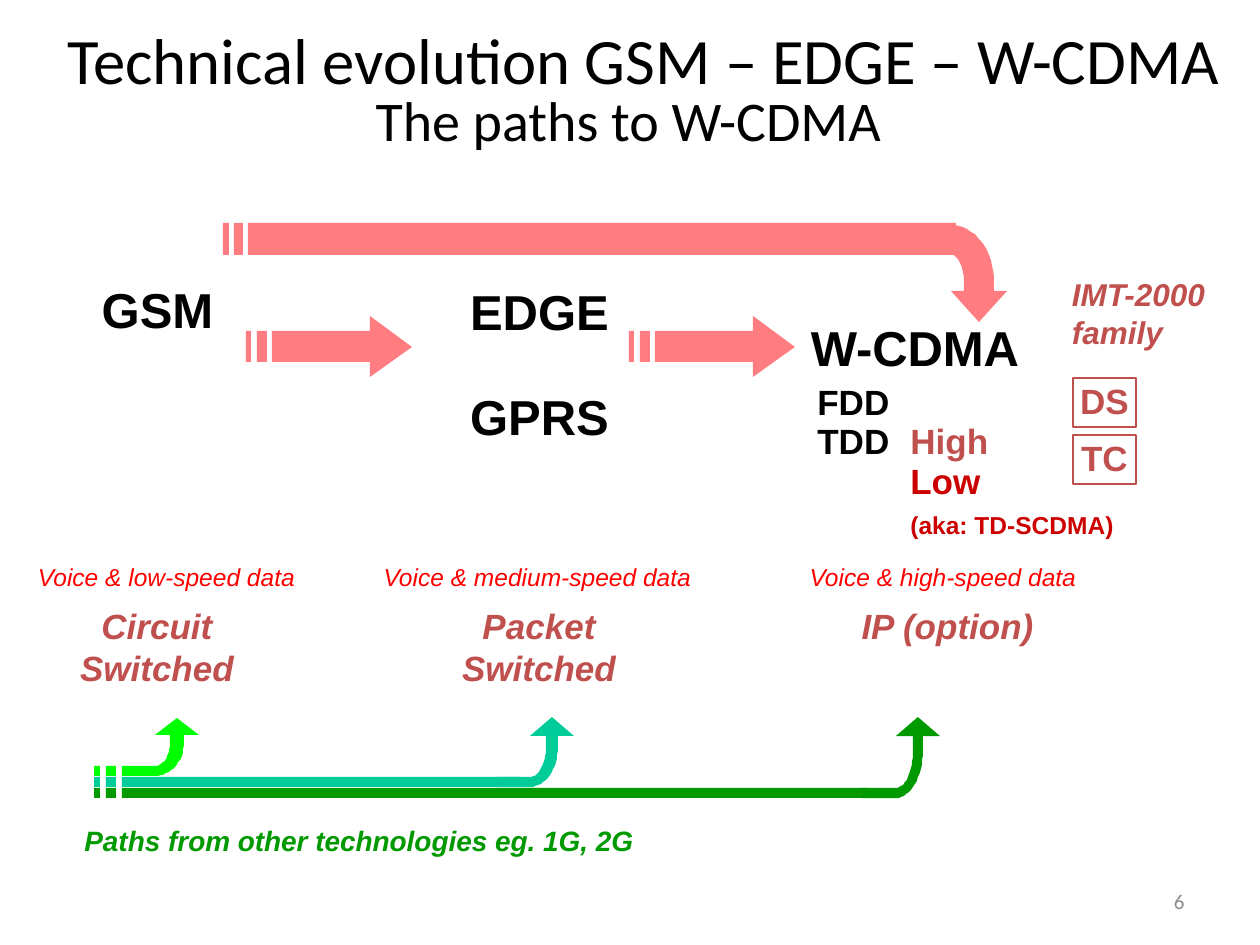
"""Build the slide on the evolution paths from GSM to W-CDMA."""
from math import cos, pi, sin

from lxml.etree import SubElement
from pptx import Presentation
from pptx.dml.color import RGBColor
from pptx.enum.shapes import MSO_SHAPE as Shape
from pptx.enum.text import MSO_ANCHOR as Anchor, PP_ALIGN as Align
from pptx.oxml.ns import qn
from pptx.util import Emu, Pt

PX = 914400 // 126
COLORS = {
    "black": "000000", "gray": "8C8C8C", "pink": "FF7C80", "brick": "C0504D",
    "red": "FF0000", "crimson": "CC0000", "lime": "00FF00", "teal": "00CC99",
    "green": "009900",
}
STYLES = {
    "title": ("Calibri", 37, "black", False, False),
    "subtitle": ("Calibri", 32, "black", False, False),
    "number": ("Calibri", 12, "gray", False, False),
    "system": ("Arial", 28, "black", True, False),
    "mode": ("Arial", 20, "black", True, False),
    "badge": ("Arial", 20, "brick", True, False),
    "switching": ("Arial", 20, "brick", True, True),
    "speed": ("Arial", 14, "red", False, True),
    "family": ("Arial", 18, "brick", True, True),
    "paths": ("Arial", 16, "green", True, True),
}
CENTERED = [
    ("Technical evolution GSM – EDGE – W-CDMA", "title", (-57, 14, 1401, 158)),
    ("The paths to W-CDMA", "subtitle", (93, 79, 1071, 158)),
    ("GSM", "system", (63, 273, 189, 72)),
    ("EDGE", "system", (445, 275, 189, 72)),
    ("GPRS", "system", (445, 380, 189, 72)),
    ("W-CDMA", "system", (789, 311, 252, 72)),
    ("Voice & low-speed data", "speed", (24, 556, 285, 42)),
    ("Voice & medium-speed data", "speed", (367, 556, 341, 42)),
    ("Voice & high-speed data", "speed", (785, 556, 316, 42)),
    ("Circuit Switched", "switching", (37, 598, 240, 97)),
    ("Packet Switched", "switching", (391, 598, 296, 97)),
    ("IP (option)", "switching", (838, 598, 219, 54)),
]
MODES = [
    [("FDD", "black", 20)],
    [("TDD\t", "black", 20), ("High", "brick", 20)],
    [("\t", "black", 20), ("Low", "crimson", 20)],
    [("\t", "crimson", 20), ("(aka: TD-SCDMA)", "crimson", 14)],
]
BADGES = ["DS", "TC"]
STRIPED_ARROW_LEFTS = [246, 629]
BARS = [
    ("pink", 223, 32, [(223, 6), (234, 9), (248, 708)]),
    ("lime", 766, 10, [(94, 6), (106, 10)]),
    ("teal", 777, 10, [(94, 6), (106, 10), (122, 398)]),
    ("green", 788, 10, [(94, 6), (106, 10), (122, 746)]),
]
BENT_ARROWS = [
    dict(color="pink", start=911, bend=(951, 281), outer=225, inner=255,
         tip=(979, 322), base=291, head=28, shaft=15),
    dict(color="lime", start=122, bend=(155, 743), outer=776, inner=766,
         tip=(177, 718), base=735, head=22, shaft=7),
    dict(color="teal", start=497, bend=(530, 747), outer=787, inner=777,
         tip=(552, 717), base=736, head=22, shaft=6),
    dict(color="green", start=862, bend=(896, 751), outer=798, inner=788,
         tip=(918, 717), base=736, head=22, shaft=5),
]

deck = Presentation()
deck.slide_width, deck.slide_height = Emu(1260 * PX), Emu(945 * PX)
page = deck.slides.add_slide(deck.slide_layouts[6])


def rgb(color):
    return RGBColor.from_string(COLORS[color])


def scaled(lengths):
    return [Emu(length * PX) for length in lengths]


def style_font(font, style):
    font.name, size, color, font.bold, font.italic = STYLES[style]
    font.size = Pt(size)
    font.color.rgb = rgb(color)


def write(box, text, style, align, inset=None):
    frame = box.text_frame
    frame.word_wrap = True
    frame.vertical_anchor = Anchor.TOP
    if inset is not None:
        frame.margin_left = frame.margin_right = Emu(inset * PX)
        frame.margin_top = frame.margin_bottom = Emu(inset * PX)
    para = frame.paragraphs[0]
    para.text = text
    para.alignment = align
    style_font(para.font, style)
    return frame


def add_text(text, style, place, align=Align.LEFT, inset=None):
    return write(page.shapes.add_textbox(*scaled(place)), text, style, align, inset)


def paint(shape, color):
    shape.shadow.inherit = False
    shape.fill.solid()
    shape.fill.fore_color.rgb = rgb(color)
    shape.line.fill.background()


def add_outline(contours, color):
    builder = None
    for first, *rest in contours:
        if builder is None:
            builder = page.shapes.build_freeform(*first, scale=PX)
        else:
            builder.move_to(*first)
        builder.add_line_segments(rest, close=True)
    paint(builder.convert_to_shape(), color)


def quarter(center, radius_x, radius_y, steps=16):
    angles = [pi / 2 * step / steps for step in range(steps + 1)]
    return [(center[0] + radius_x * cos(a), center[1] + radius_y * sin(a)) for a in angles]


def add_bent_arrow(color, start, bend, outer, inner, tip, base, head, shaft):
    x, y = tip
    outside = quarter(bend, x + shaft - bend[0], outer - bend[1])
    inside = quarter(bend, x - shaft - bend[0], inner - bend[1])[::-1]
    add_outline([[tip, (x + head, base), (x + shaft, base), *outside,
                  (start, outer), (start, inner), *inside,
                  (x - shaft, base), (x - head, base)]], color)


def add_striped_arrow(left):
    top, bottom = 331, 362
    stripes = [[(left + a, top), (left + a, bottom), (left + b, bottom), (left + b, top)]
               for a, b in [(11, 21), (0, 5)]]
    neck, tail = left + 124, left + 26
    arrow = [(neck, 316), (neck, top), (tail, top), (tail, bottom),
             (neck, bottom), (neck, 377), (left + 166, 347)]
    add_outline([arrow, *stripes], "pink")


def add_modes():
    frame = page.shapes.add_textbox(*scaled((805, 379, 349, 164))).text_frame
    frame.word_wrap = True
    for index, spans in enumerate(MODES):
        para = frame.add_paragraph() if index else frame.paragraphs[0]
        para.line_spacing = 0.9
        if index:
            para.space_before = Pt(1)
        tabs = SubElement(para._p.get_or_add_pPr(), qn("a:tabLst"))
        SubElement(tabs, qn("a:tab"), pos=str(93 * PX), algn="l")
        style_font(para.font, "mode")
        for text, color, size in spans:
            span = para.add_run()
            span.text = text
            span.font.size = Pt(size)
            span.font.color.rgb = rgb(color)


for text, style, place in CENTERED:
    add_text(text, style, place, Align.CENTER)
add_text("IMT-2000\vfamily", "family", (1070, 273, 150, 81), inset=2)
add_text("Paths from other technologies eg. 1G, 2G", "paths", (72, 817, 779, 47))
number = add_text("6", "number", (903, 876, 294, 50), Align.RIGHT)
number.vertical_anchor = Anchor.MIDDLE
add_modes()

for index, text in enumerate(BADGES):
    badge = page.shapes.add_shape(Shape.RECTANGLE, *scaled((1073, 378 + 57 * index, 63, 49)))
    badge.shadow.inherit = False
    badge.fill.background()
    badge.line.color.rgb = rgb("brick")
    badge.line.width = Pt(1.5)
    write(badge, text, "badge", Align.CENTER, inset=2)

for left in STRIPED_ARROW_LEFTS:
    add_striped_arrow(left)
for color, top, height, spans in BARS:
    for left, width in spans:
        paint(page.shapes.add_shape(Shape.RECTANGLE, *scaled((left, top, width, height))), color)
for arrow in BENT_ARROWS:
    add_bent_arrow(**arrow)

deck.save("out.pptx")
